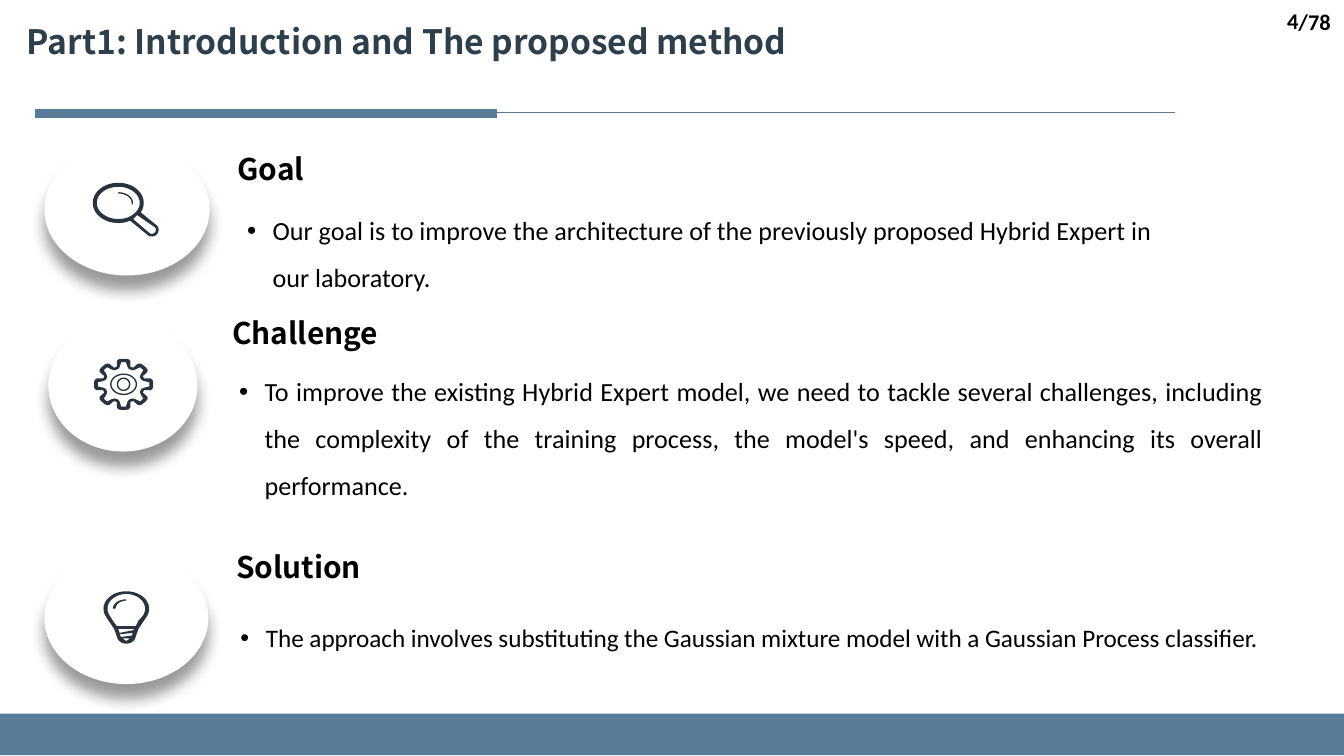
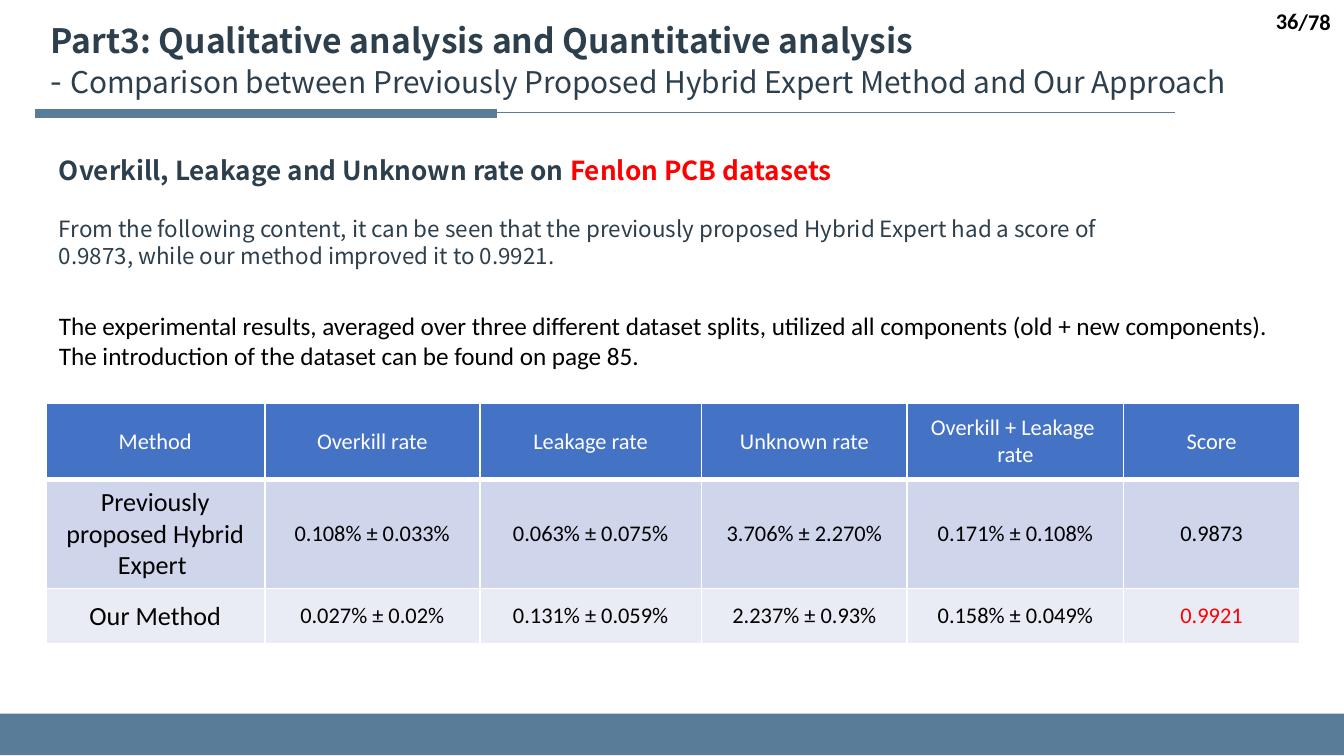
"""Build the goal slide and the results comparison slide of a research talk."""
import math

from lxml import etree
from pptx import Presentation
from pptx.dml.color import RGBColor
from pptx.enum import shapes, text
from pptx.oxml import parse_xml
from pptx.oxml.ns import nsdecls, qn
from pptx.util import Inches, Pt

STEEL = RGBColor(0x59, 0x7D, 0x98)
SLATE = RGBColor(0x2D, 0x3F, 0x4C)
ICON = RGBColor(0x29, 0x32, 0x3F)
BLACK = RGBColor(0, 0, 0)
WHITE = RGBColor(0xFF, 0xFF, 0xFF)
RED = RGBColor(0xFF, 0, 0)
HEADER_BLUE = RGBColor(0x44, 0x72, 0xC4)
ROW_FILLS = [HEADER_BLUE, RGBColor(0xCF, 0xD5, 0xEA), RGBColor(0xE9, 0xEB, 0xF5)]
HEADING = "Noto Sans CJK SC"
BODY = "Calibri"
LEFT, CENTER, RIGHT, JUSTIFY = (
    text.PP_ALIGN.LEFT, text.PP_ALIGN.CENTER, text.PP_ALIGN.RIGHT, text.PP_ALIGN.JUSTIFY)


def add_text(slide, box, content, size, font=BODY, color=BLACK, bold=False,
             align=LEFT, wrap=True, bullet=False, grow=True):
    """Add a text box with one format and return its text frame."""
    frame = slide.shapes.add_textbox(*map(Inches, box)).text_frame
    frame.word_wrap = wrap
    if grow:
        frame.auto_size = text.MSO_AUTO_SIZE.SHAPE_TO_FIT_TEXT
    else:
        frame.vertical_anchor = text.MSO_ANCHOR.MIDDLE
    frame.text = content
    for paragraph in frame.paragraphs:
        paragraph.alignment = align
        if bullet:
            properties = paragraph._p.get_or_add_pPr()
            properties.set("marL", str(Inches(0.19)))
            properties.set("indent", str(Inches(-0.19)))
            etree.SubElement(properties, qn("a:buFont")).set("typeface", "Arial")
            etree.SubElement(properties, qn("a:buChar")).set("char", "•")
            paragraph.line_spacing = 1.5
        for run in paragraph.runs:
            run.font.name, run.font.size, run.font.bold = font, Pt(size), bold
            run.font.color.rgb = color
    return frame


def add_outline(slide, contours):
    """Draw contours made of (x, y) points and (x, y, rx, ry, start, end) arcs."""
    builder = None
    for contour in contours:
        points = []
        for part in contour:
            if len(part) == 2:
                points.append(part)
                continue
            x, y, rx, ry, start, end = part
            steps = max(8, int(abs(end - start) / 8))
            for step in range(steps + 1):
                angle = math.radians(start + (end - start) * step / steps)
                points.append((x + rx * math.cos(angle), y + ry * math.sin(angle)))
        points = [(Inches(x), Inches(y)) for x, y in points]
        if builder is None:
            builder = slide.shapes.build_freeform(*points[0], scale=1.0)
        else:
            builder.move_to(*points[0])
        builder.add_line_segments(points[1:], close=True)
    shape = builder.convert_to_shape()
    shape.shadow.inherit = False
    shape.fill.solid()
    shape.fill.fore_color.rgb = ICON
    shape.line.fill.background()


presentation = Presentation()
presentation.slide_width = Inches(10)
presentation.slide_height = Inches(10) * 9 // 16

for _ in range(2):
    slide = presentation.slides.add_slide(presentation.slide_layouts[6])
    rule = slide.shapes.add_connector(
        shapes.MSO_CONNECTOR.STRAIGHT, Inches(8.74), Inches(0.84), Inches(0.27), Inches(0.84))
    rule.line.color.rgb, rule.line.width = STEEL, Pt(0.5)
    etree.SubElement(rule._element.spPr, qn("a:effectLst"))
    for box in ((0, 5.31, 10, 0.31), (0.27, 0.82, 3.42, 0.05)):
        band = slide.shapes.add_shape(shapes.MSO_SHAPE.RECTANGLE, *map(Inches, box))
        band.shadow.inherit = False
        band.fill.solid()
        band.fill.fore_color.rgb = STEEL
        band.line.fill.background()
    band.line.color.rgb, band.line.width = STEEL, Pt(1)
    etree.SubElement(band.line._get_or_add_ln(), qn("a:miter")).set("lim", "800000")

overview, results = presentation.slides

gear_outer, gear_inner = [], []
for tooth in range(8):
    turn = math.radians(45 * tooth)
    for contour, profile in (
            (gear_outer, [(0.69, -0.23), (0.91, -0.23), (0.98, -0.17), (1, -0.08),
                          (1, 0.08), (0.98, 0.17), (0.91, 0.23), (0.69, 0.23)]),
            (gear_inner, [(0.6, -0.18), (0.69, -0.13), (0.87, -0.08),
                          (0.87, 0.08), (0.69, 0.13), (0.6, 0.18)])):
        for x, y in profile:
            contour.append((0.92 + 0.22 * (x * math.cos(turn) - y * math.sin(turn)),
                            2.86 + 0.19 * (x * math.sin(turn) + y * math.cos(turn))))

gear = [[gear_outer, gear_inner]]
for outer, inner in (((0.1, 0.08), (0.09, 0.07)), ((0.05, 0.05), (0.04, 0.04))):
    gear.append([[(0.92, 2.86, *radii, 0, 360)] for radii in (outer, inner)])

magnifier = [
    [[(0.88, 1.51, 0.19, 0.15, 62, 388), (1.13, 1.71, 0.05, 0.05, -35, 135)],
     [(0.88, 1.51, 0.16, 0.12, 0, 360)],
     [(0.99, 1.63), (1.02, 1.6), (1.13, 1.71, 0.03, 0.03, -35, 130)]],
    [[(0.88, 1.51, 0.11, 0.08, -90, 8), (0.88, 1.51, 0.1, 0.07, 8, -90)]],
]
bulb = [
    [[(0.94, 4.53, 0.17, 0.13, 150, 390), (1.03, 4.68), (0.94, 4.73, 0.07, 0.06, 20, 160),
      (0.85, 4.68)],
     [(0.94, 4.53, 0.14, 0.11, 150, 390), (1.03, 4.62), (1.01, 4.66), (0.87, 4.66),
      (0.84, 4.62)],
     [(0.88, 4.68), (1, 4.68), (0.99, 4.69), (0.89, 4.71)],
     [(0.89, 4.72), (0.99, 4.71), (0.98, 4.73), (0.9, 4.74)],
     [(0.91, 4.75), (0.97, 4.75), (0.94, 4.77)]],
    [[(0.94, 4.53, 0.1, 0.07, 180, 270), (0.94, 4.53, 0.08, 0.06, 270, 180)]],
]

topics = [
    ("Challenge", (1.63, 2.29, 1.33, 0.37), (0.36, 2.38, 1.11, 0.98), gear,
     "To improve the existing Hybrid Expert model, we need to tackle several challenges, "
     "including the complexity of the training process, the model's speed, and enhancing "
     "its overall performance.", (1.68, 2.63, 7.82, 1.12), 14, JUSTIFY),
    ("Goal", (1.67, 1.07, 0.71, 0.37), (0.33, 1.07, 1.23, 0.98), magnifier,
     "Our goal is to improve the architecture of the previously proposed Hybrid Expert "
     "in our laboratory.", (1.74, 1.43, 7.23, 0.77), 14, LEFT),
    ("Solution", (1.66, 4.03, 1.24, 0.37), (0.33, 4.11, 1.22, 0.98), bulb,
     "The approach involves substituting the Gaussian mixture model with a Gaussian "
     "Process classifier.", (1.69, 4.47, 8.21, 0.41), 13.5, LEFT),
]
for heading, heading_box, disc_box, icon, body, body_box, size, align in topics:
    disc = overview.shapes.add_shape(shapes.MSO_SHAPE.OVAL, *map(Inches, disc_box))
    disc.fill.solid()
    disc.fill.fore_color.rgb = WHITE
    disc.line.fill.background()
    disc.shadow.inherit = False
    disc._element.spPr.find(qn("a:effectLst")).append(parse_xml(
        f'<a:outerShdw {nsdecls("a")} blurRad="{Pt(8)}" dist="{Pt(8)}" dir="5400000" '
        'algn="t" rotWithShape="0"><a:srgbClr val="000000"><a:alpha val="40000"/>'
        '</a:srgbClr></a:outerShdw>'))
    add_text(overview, heading_box, heading, 16, HEADING, bold=True, wrap=False)
    add_text(overview, body_box, body, size, align=align, bullet=True)
    for contours in icon:
        add_outline(overview, contours)
add_text(overview, (0.1, 0.11, 7.65, 0.4), "Part1: Introduction and The proposed method",
         18, HEADING, SLATE, True)

rows = [
    ["Method", "Overkill rate", "Leakage rate", "Unknown rate", "Overkill + Leakage \nrate",
     "Score"],
    ["Previously proposed Hybrid Expert ", "0.108% ± 0.033%", "0.063% ± 0.075%",
     "3.706% ± 2.270%", "0.171% ± 0.108%", "0.9873"],
    ["Our Method", "0.027% ± 0.02%", "0.131% ± 0.059%", "2.237% ± 0.93%",
     "0.158% ± 0.049%", "0.9921"],
]
table = results.shapes.add_table(
    3, 6, Inches(0.34), Inches(3), Inches(9.32), Inches(1.55)).table
for column, width in zip(table.columns, (1.63, 1.6, 1.65, 1.53, 1.61, 1.31)):
    column.width = Inches(width)
for row, height in zip(table.rows, (0.57, 0.57, 0.41)):
    row.height = Inches(height)
for i, row in enumerate(rows):
    for j, value in enumerate(row):
        cell = table.cell(i, j)
        for side in "LRTB":
            width = 3 if i == 0 and side == "B" else 1
            cell._tc.get_or_add_tcPr().append(parse_xml(
                f'<a:ln{side} {nsdecls("a")} w="{Pt(width)}"><a:solidFill>'
                f'<a:srgbClr val="{WHITE}"/></a:solidFill></a:ln{side}>'))
        cell.fill.solid()
        cell.fill.fore_color.rgb = ROW_FILLS[i]
        cell.vertical_anchor = text.MSO_ANCHOR.MIDDLE
        if i and j:
            cell.margin_left = cell.margin_right = Inches(0.13)
            cell.margin_top = cell.margin_bottom = Inches(0.07)
        cell.text_frame.text = value
        for paragraph in cell.text_frame.paragraphs:
            paragraph.alignment = CENTER
            font = paragraph.runs[0].font
            font.name, font.bold = BODY, False
            font.size = Pt(14 if i and j == 0 else 12)
            font.color.rgb = WHITE if i == 0 else RED if value == "0.9921" else BLACK

title = add_text(results, (0.28, 0.1, 9.61, 0.71),
                 "Part3: Qualitative analysis and Quantitative analysis\v- ",
                 18, HEADING, SLATE, True).paragraphs[0]
title.runs[1].font.bold = False
subtitle = title.add_run()
subtitle.text = "Comparison between Previously Proposed Hybrid Expert Method and Our Approach"
add_text(results, (0.34, 2.26, 9.32, 0.56),
         "The experimental results, averaged over three different dataset splits, utilized all "
         "components (old + new components).\n"
         "The introduction of the dataset can be found on page 85.", 13.5)
heading = add_text(results, (0.34, 1.1, 7.42, 0.34), "Overkill, Leakage and Unknown rate on ",
                   14, HEADING, SLATE, True).paragraphs[0]
dataset = heading.add_run()
dataset.text = "Fenlon PCB datasets"
for run, size, color, bold in ((subtitle, 16, SLATE, False), (dataset, 14, RED, True)):
    run.font.name, run.font.size, run.font.bold = HEADING, Pt(size), bold
    run.font.color.rgb = color
add_text(results, (0.34, 1.55, 8.38, 0.5),
         "From the following content, it can be seen that the previously proposed Hybrid Expert "
         "had a score of 0.9873, while our method improved it to 0.9921.", 12, HEADING, SLATE)

for slide, page in ((overview, "4"), (results, "36")):
    for box, content in (((9.54, 0.01, 0.46, 0.3), "/78"), ((7.75, 0, 2.01, 0.31), page)):
        add_text(slide, box, content, 12, bold=True, align=RIGHT, grow=False)

presentation.save("out.pptx")
